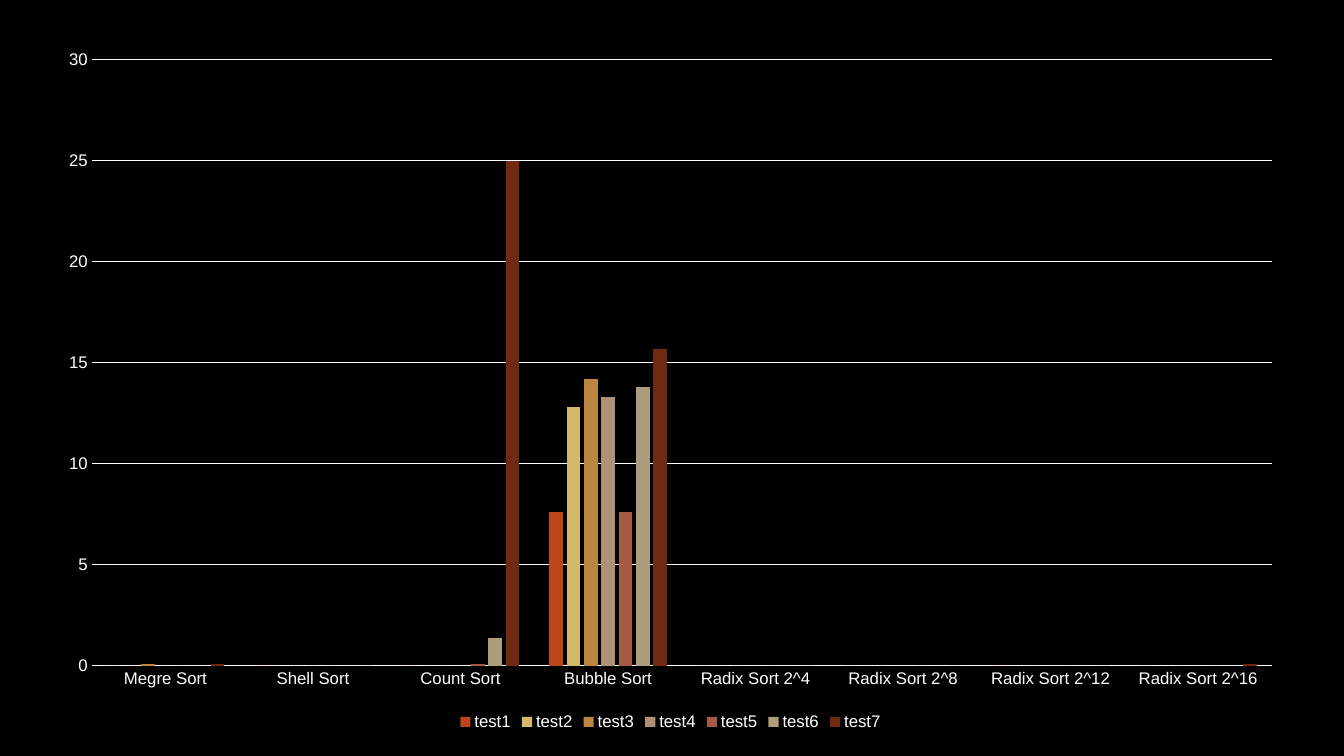
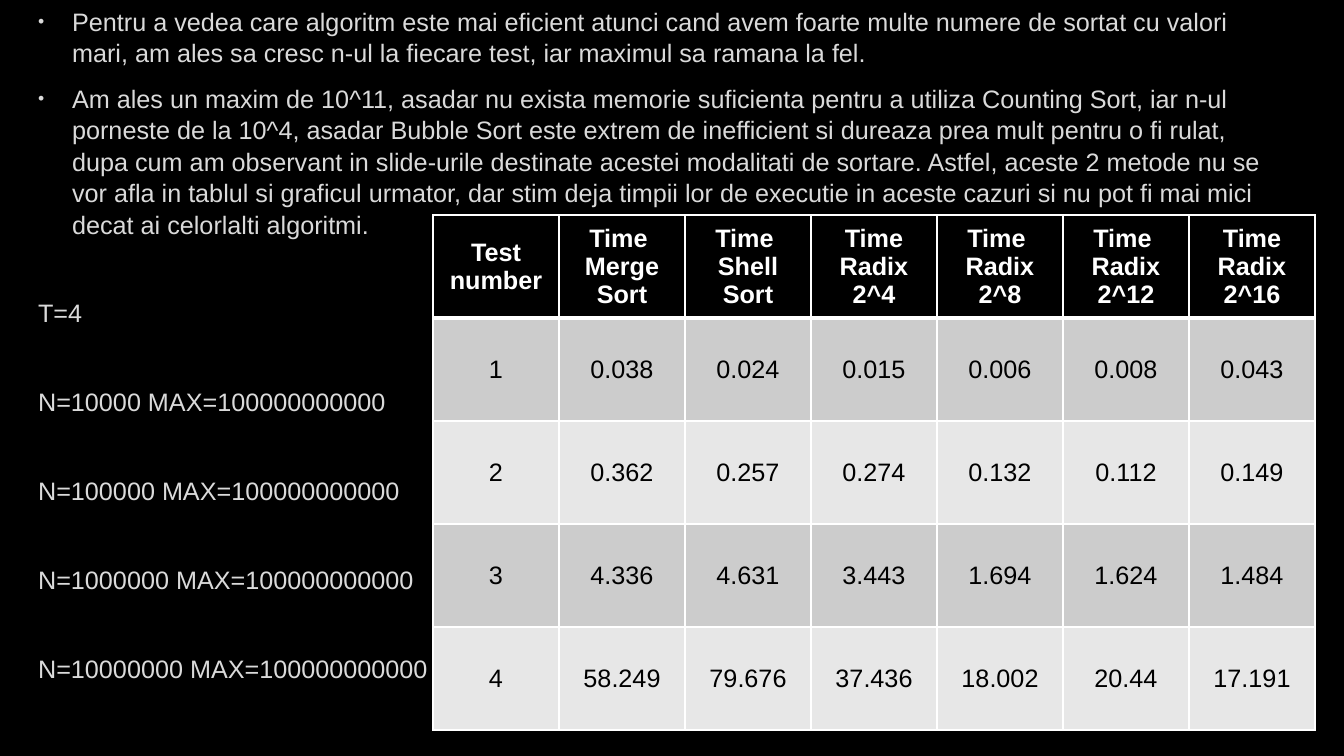
"""Builds two slides that compare sorting algorithms: a column chart and a table of times."""
from lxml.etree import SubElement
from pptx import Presentation
from pptx.chart.data import CategoryChartData
from pptx.dml.color import RGBColor
from pptx.enum.chart import XL_CHART_TYPE, XL_LEGEND_POSITION, XL_TICK_MARK
from pptx.enum.text import MSO_ANCHOR, MSO_AUTO_SIZE, PP_ALIGN
from pptx.oxml.ns import qn
from pptx.util import Emu, Pt

SLIDE_WIDTH, SLIDE_HEIGHT = 1344, 756
PX = 12192000 / SLIDE_WIDTH
FONT = "Arial"
BLACK = RGBColor(0x00, 0x00, 0x00)
WHITE = RGBColor(0xFF, 0xFF, 0xFF)
BODY_GREY = RGBColor(0xDA, 0xDA, 0xDA)
ROW_GREYS = RGBColor(0xCC, 0xCC, 0xCC), RGBColor(0xE7, 0xE7, 0xE7)

ALGORITHMS = ["Megre Sort", "Shell Sort", "Count Sort", "Bubble Sort",
              "Radix Sort 2^4", "Radix Sort 2^8", "Radix Sort 2^12", "Radix Sort 2^16"]
TESTS = [
    ("test1", RGBColor(0xBC, 0x45, 0x1B), (0, 0, 0, 7.6, 0, 0, 0, 0)),
    ("test2", RGBColor(0xD3, 0xBA, 0x68), (0, 0, 0, 12.8, 0, 0, 0, 0)),
    ("test3", RGBColor(0xBB, 0x86, 0x40), (0.1, 0, 0, 14.2, 0, 0, 0, 0)),
    ("test4", RGBColor(0xAD, 0x92, 0x77), (0, 0, 0, 13.3, 0, 0, 0, 0)),
    ("test5", RGBColor(0xA5, 0x5A, 0x43), (0, 0, 0.1, 7.6, 0, 0, 0, 0)),
    ("test6", RGBColor(0xAD, 0x9D, 0x7B), (0, 0, 1.4, 13.8, 0, 0, 0, 0)),
    ("test7", RGBColor(0x71, 0x29, 0x10), (0.1, 0, 25, 15.7, 0, 0, 0, 0.1)),
]
REMARKS = [
    "Pentru a vedea care algoritm este mai eficient atunci cand avem foarte multe numere de "
    "sortat cu valori mari, am ales sa cresc n-ul la fiecare test, iar maximul sa ramana la fel.",
    "Am ales un maxim de 10^11, asadar nu exista memorie suficienta pentru a utiliza Counting "
    "Sort, iar n-ul porneste de la 10^4, asadar Bubble Sort este extrem de inefficient si dureaza "
    "prea mult pentru o fi rulat, dupa cum am observant in slide-urile destinate acestei "
    "modalitati de sortare. Astfel, aceste 2 metode nu se vor afla in tablul si graficul urmator, "
    "dar stim deja timpii lor de executie in aceste cazuri si nu pot fi mai mici decat ai "
    "celorlalti algoritmi.",
]
TEST_SIZES = [
    "T=4",
    "N=10000 MAX=100000000000",
    "N=100000 MAX=100000000000",
    "N=1000000 MAX=100000000000",
    "N=10000000 MAX=100000000000",
]
TIMES = [
    ("Test number", "Time \nMerge Sort", "Time \nShell Sort", "Time\nRadix 2^4",
     "Time \nRadix 2^8", "Time \nRadix 2^12", "Time Radix 2^16"),
    ("1", "0.038", "0.024", "0.015", "0.006", "0.008", "0.043"),
    ("2", "0.362", "0.257", "0.274", "0.132", "0.112", "0.149"),
    ("3", "4.336", "4.631", "3.443", "1.694", "1.624", "1.484"),
    ("4", "58.249", "79.676", "37.436", "18.002", "20.44", "17.191"),
]
CHART_BOX = 44, 37, 1253, 698
BODY_BOX = 24, 0, 1267, 729
TABLE_LEFT, TABLE_TOP, COLUMN_WIDTH, ROW_HEIGHT = 433, 215, 126, 103


def px(length):
    return Emu(round(length * PX))


def set_font(font, size, color, bold=False):
    font.name, font.size, font.bold = FONT, Pt(size), bold
    font.color.rgb = color


def write(paragraph, text, size=18, color=BODY_GREY, bold=False, align=PP_ALIGN.LEFT,
          before=0, after=0, spacing=1.0):
    run = paragraph.add_run()
    run.text = text
    set_font(run.font, size, color, bold)
    paragraph.alignment = align
    paragraph.space_before, paragraph.space_after = Pt(before), Pt(after)
    paragraph.line_spacing = spacing


def set_bullet(paragraph, bulleted):
    properties = paragraph._p.get_or_add_pPr()
    margin, indent = (38, -34) if bulleted else (4, 0)
    properties.set("marL", str(px(margin)))
    properties.set("indent", str(px(indent)))
    if bulleted:
        SubElement(properties, qn("a:buSzPct"), val="70000")
        SubElement(properties, qn("a:buChar"), char="•")
    else:
        SubElement(properties, qn("a:buNone"))


def set_borders(cell, **widths):
    properties = cell._tc.get_or_add_tcPr()
    for side in "LRTB":
        border = SubElement(properties, qn(f"a:ln{side}"), w=str(Pt(widths.get(side, 1))))
        SubElement(SubElement(border, qn("a:solidFill")), qn("a:srgbClr"), val=str(WHITE))


def add_times_chart(slide):
    data = CategoryChartData()
    data.categories = ALGORITHMS
    for name, _, values in TESTS:
        data.add_series(name, values)
    chart = slide.shapes.add_chart(
        XL_CHART_TYPE.COLUMN_CLUSTERED, *map(px, CHART_BOX), data).chart
    chart.has_title = False
    set_font(chart.font, 10, WHITE)
    chart.has_legend = True
    chart.legend.position = XL_LEGEND_POSITION.BOTTOM
    chart.legend.include_in_layout = False
    set_font(chart.legend.font, 12, WHITE)

    columns = chart.plots[0]
    columns.gap_width, columns.overlap, columns.vary_by_categories = 219, -27, False
    for series, (_, color, _) in zip(columns.series, TESTS):
        series.format.fill.solid()
        series.format.fill.fore_color.rgb = color

    algorithms, seconds = chart.category_axis, chart.value_axis
    for axis in (algorithms, seconds):
        axis.major_tick_mark = axis.minor_tick_mark = XL_TICK_MARK.NONE
        set_font(axis.tick_labels.font, 12, WHITE)
    seconds.minimum_scale, seconds.maximum_scale, seconds.major_unit = 0, 30, 5
    seconds.format.line.fill.background()
    for line in (algorithms.format.line, seconds.major_gridlines.format.line):
        line.color.rgb = WHITE
        line.width = Pt(0.75)


def fill_body(body):
    body.left, body.top, body.width, body.height = map(px, BODY_BOX)
    frame = body.text_frame
    frame.auto_size = MSO_AUTO_SIZE.NONE
    frame.vertical_anchor = MSO_ANCHOR.TOP
    for index, text in enumerate(REMARKS + TEST_SIZES):
        paragraph = frame.add_paragraph() if index else frame.paragraphs[0]
        bulleted = index < len(REMARKS)
        write(paragraph, text, before=4 if bulleted else 35, after=6, spacing=1.04)
        set_bullet(paragraph, bulleted)


def add_times_table(slide):
    row_count, column_count = len(TIMES), len(TIMES[0])
    table = slide.shapes.add_table(
        row_count, column_count, px(TABLE_LEFT), px(TABLE_TOP),
        px(COLUMN_WIDTH * column_count), px(ROW_HEIGHT * row_count)).table
    for row_index, texts in enumerate(TIMES):
        header = row_index == 0
        for column_index, text in enumerate(texts):
            cell = table.cell(row_index, column_index)
            cell.vertical_anchor = MSO_ANCHOR.MIDDLE
            set_borders(cell, B=3 if header else 1, T=3 if row_index == 1 else 1)
            cell.fill.solid()
            cell.fill.fore_color.rgb = BLACK if header else ROW_GREYS[(row_index - 1) % 2]
            for line_index, line in enumerate(text.split("\n")):
                frame = cell.text_frame
                paragraph = frame.add_paragraph() if line_index else frame.paragraphs[0]
                write(paragraph, line, color=WHITE if header else BLACK, bold=header,
                      align=PP_ALIGN.CENTER)


def main():
    deck = Presentation()
    deck.slide_width, deck.slide_height = px(SLIDE_WIDTH), px(SLIDE_HEIGHT)
    background = deck.slide_master.background.fill
    background.solid()
    background.fore_color.rgb = BLACK

    add_times_chart(deck.slides.add_slide(deck.slide_layouts[6]))

    comparison = deck.slides.add_slide(deck.slide_layouts[1])
    title = comparison.shapes.title._element
    title.getparent().remove(title)
    fill_body(comparison.placeholders[1])
    add_times_table(comparison)
    deck.save("out.pptx")


if __name__ == "__main__":
    main()
